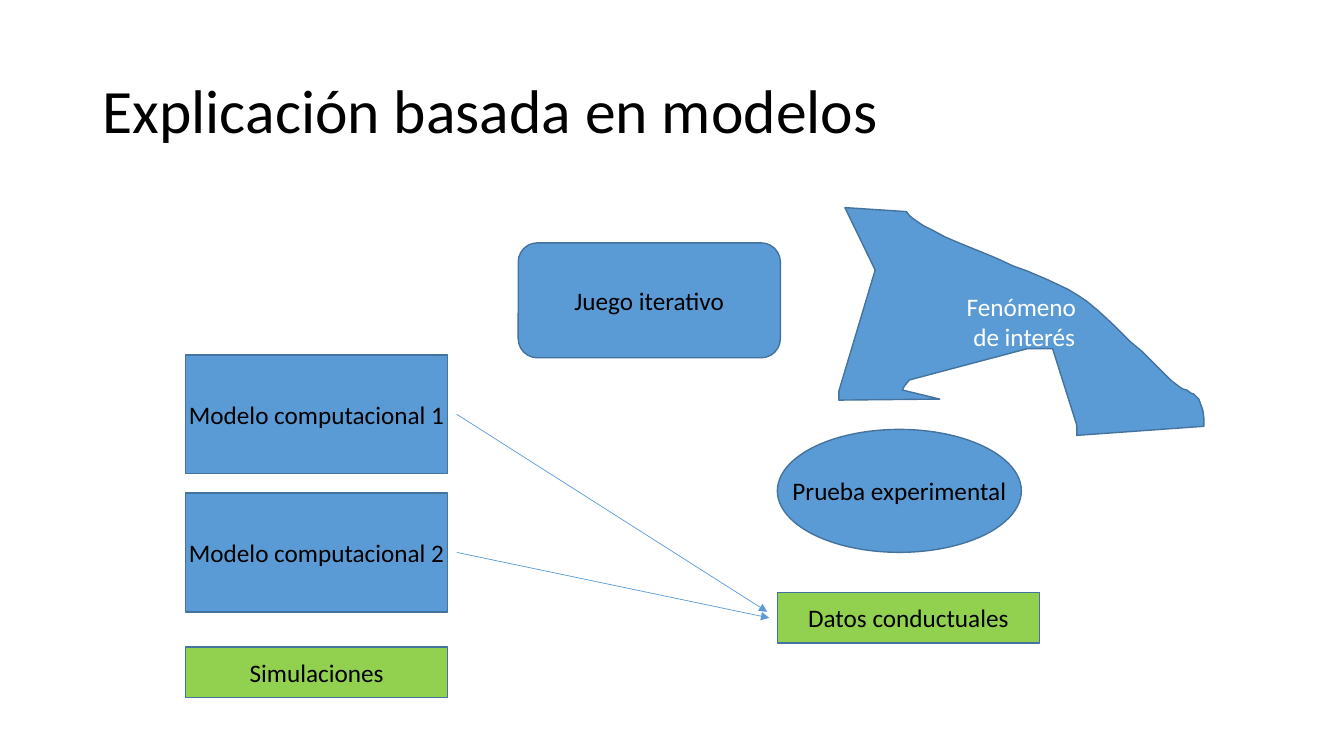
import pptx
import pptx.util
import pptx.dml.color
import pptx.enum.shapes
import pptx.enum.text
import pptx.oxml
import pptx.oxml.ns

RGB = pptx.dml.color.RGBColor
BLUE = RGB(0x5B, 0x9B, 0xD5)
EDGE = RGB(0x43, 0x73, 0x9E)
GREEN = RGB(0x92, 0xD0, 0x50)
BLACK = RGB(0, 0, 0)
WHITE = RGB(0xFF, 0xFF, 0xFF)
PX = 9144  # EMU per px, 100 px to the inch
KIND = pptx.enum.shapes.MSO_SHAPE
ALIGN = pptx.enum.text.PP_ALIGN

deck = pptx.Presentation()
deck.slide_width = 1333 * PX
deck.slide_height = 750 * PX
slide = deck.slides.add_slide(deck.slide_layouts[6])
shapes = slide.shapes


def write(text, shape, size=18, color=BLACK, align=ALIGN.CENTER, space=1.0, wrap=False):
    frame = shape.text_frame
    frame.word_wrap = wrap
    frame.vertical_anchor = pptx.enum.text.MSO_ANCHOR.MIDDLE
    frame.text = text
    for para in frame.paragraphs:
        para.alignment = align
        para.line_spacing = space
        para.font.name = "Calibri"
        para.font.size = pptx.util.Pt(size)
        para.font.color.rgb = color


def paint(shape, fill):
    shape.shadow.inherit = False
    shape.fill.solid()
    shape.fill.fore_color.rgb = fill
    shape.line.color.rgb = EDGE
    shape.line.width = pptx.util.Pt(1)


# Title
title = shapes.add_textbox(92 * PX, 40 * PX, 1150 * PX, 145 * PX)
write("Explicación basada en modelos", title, size=44, align=ALIGN.LEFT, space=0.9, wrap=True)

# Labelled boxes
boxes = [
    ("Juego iterativo", KIND.ROUNDED_RECTANGLE, 514, 241, 260, 114, BLUE),
    ("Modelo computacional 1", KIND.RECTANGLE, 184, 352, 260, 118, BLUE),
    ("Modelo computacional 2", KIND.RECTANGLE, 184, 489, 260, 118, BLUE),
    ("Simulaciones", KIND.RECTANGLE, 184, 642, 260, 50, GREEN),
    ("Prueba experimental", KIND.OVAL, 771, 426, 242, 122, BLUE),
    ("Datos conductuales", KIND.RECTANGLE, 771, 588, 260, 50, GREEN),
]
for text, kind, x, y, w, h, fill in boxes:
    box = shapes.add_shape(kind, x * PX, y * PX, w * PX, h * PX)
    paint(box, fill)
    write(text, box)

# Arrows from the models to the data
for x1, y1, x2, y2 in [(453, 411, 761, 607), (453, 548, 763, 613)]:
    arrow = shapes.add_connector(
        pptx.enum.shapes.MSO_CONNECTOR.STRAIGHT, x1 * PX, y1 * PX, x2 * PX, y2 * PX)
    arrow.line.color.rgb = BLUE
    arrow.line.width = pptx.util.Pt(0.5)
    head = pptx.oxml.parse_xml(
        '<a:tailEnd %s type="triangle"/>' % pptx.oxml.ns.nsdecls("a"))
    arrow.line._get_or_add_ln().append(head)
    arrow._element.spPr.append(
        pptx.oxml.parse_xml("<a:effectLst %s/>" % pptx.oxml.ns.nsdecls("a")))

# Irregular outline of the phenomenon
points = [
    (899, 210), (902, 214), (907, 218), (916, 224), (926, 229), (937, 235),
    (951, 241), (983, 254), (992, 258), (1005, 264), (1019, 269), (1040, 278),
    (1059, 287), (1069, 293), (1078, 299), (1090, 309), (1105, 323), (1113, 331),
    (1121, 339), (1133, 349), (1144, 360), (1158, 374), (1162, 378), (1170, 384),
    (1173, 386), (1177, 387), (1181, 390), (1184, 391), (1189, 396), (1193, 407),
    (1194, 415), (1194, 423), (1068, 432), (1068, 422), (1044, 346), (1019, 346),
    (902, 377), (897, 383), (895, 387), (932, 396), (832, 397), (832, 388),
    (868, 268), (838, 206),
]
path = shapes.build_freeform(*points[0], scale=PX)
path.add_line_segments(points[1:], close=True)
blob = path.convert_to_shape()
paint(blob, BLUE)
write("Fenómeno\n de interés", blob, color=WHITE, wrap=True)

deck.save("out.pptx")
